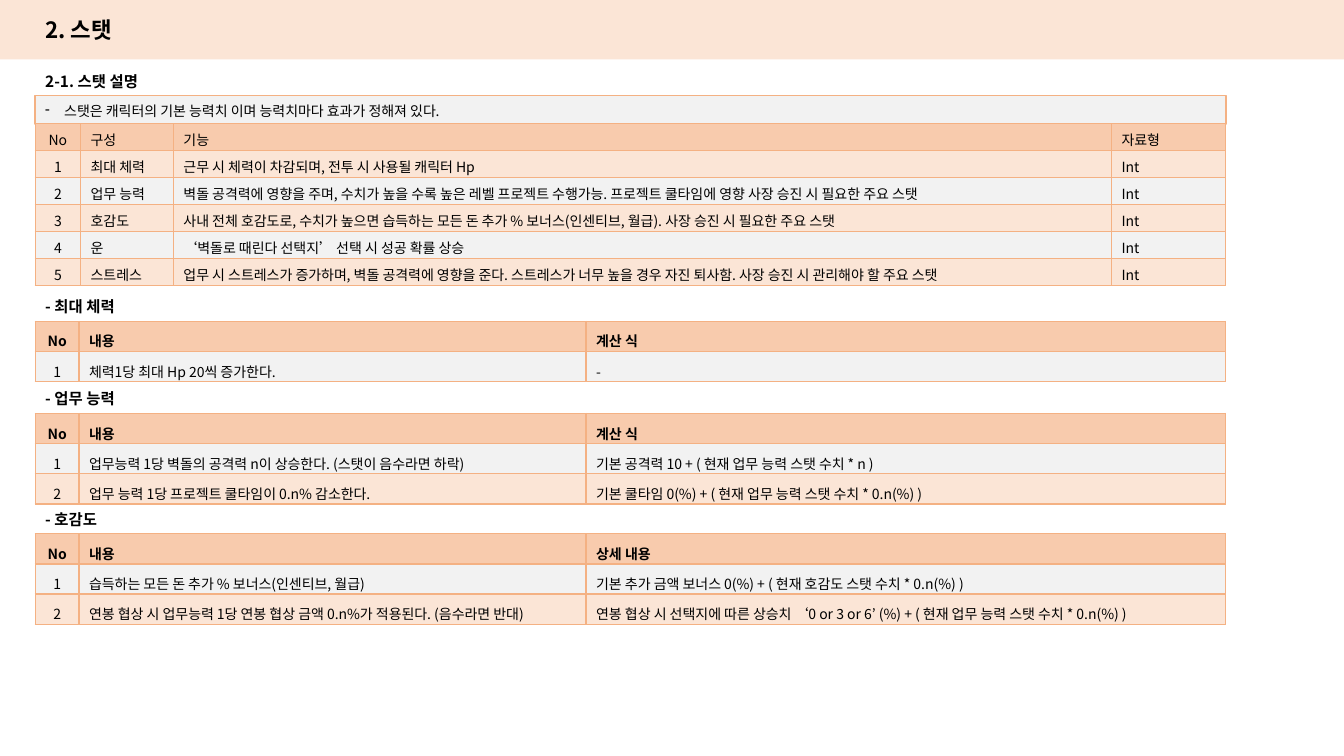
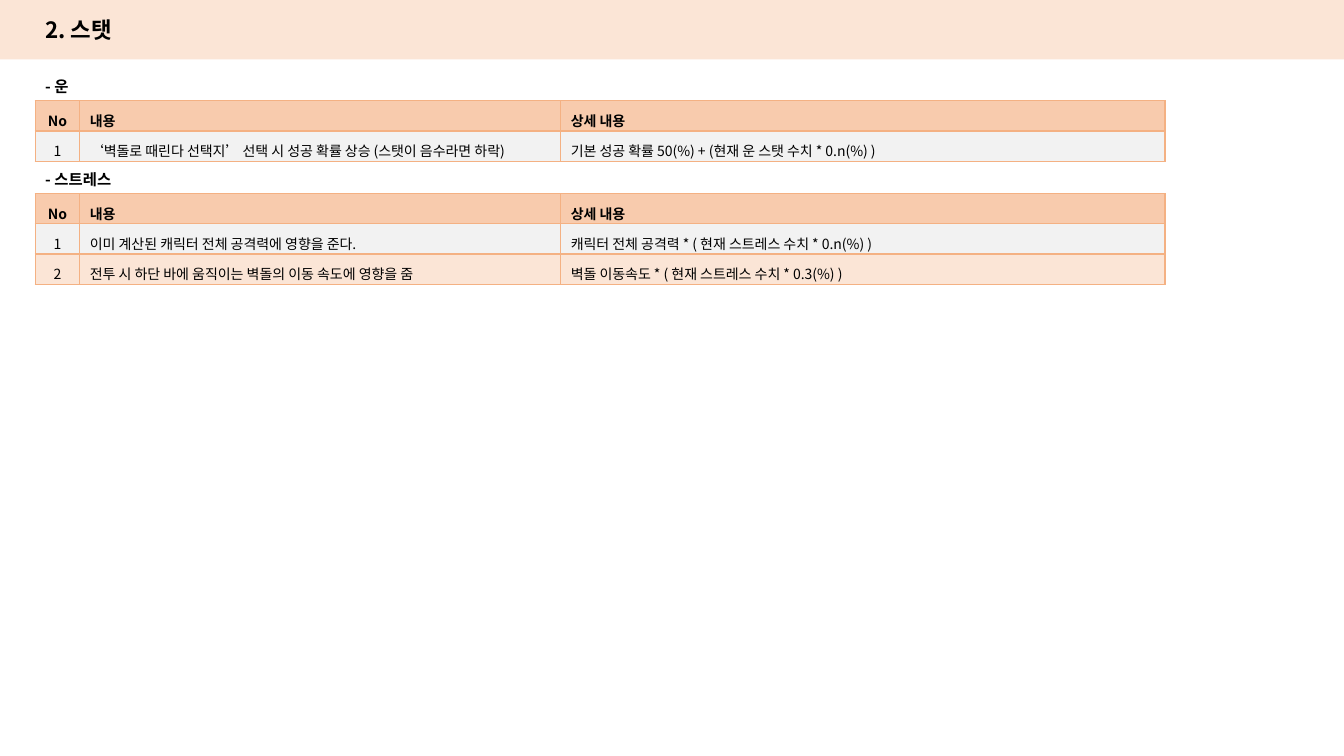
import pptx
import pptx.util
import pptx.dml.color
import pptx.enum.shapes
import pptx.enum.text
import pptx.oxml
import pptx.oxml.ns
import dataclasses

Cm = pptx.util.Cm
Pt = pptx.util.Pt
ALIGN = pptx.enum.text.PP_ALIGN
MID = pptx.enum.text.MSO_ANCHOR.MIDDLE


@dataclasses.dataclass(frozen=True)
class Theme:
    """Colours, font, type sizes and shared measures (cm)."""
    font: str = "Noto Sans CJK KR"
    ink: str = "000000"
    band: str = "FBE5D6"
    head: str = "F8CBAD"
    grey: str = "F2F2F2"
    edge: str = "F4B183"
    title: int = 16
    label: int = 11
    body: int = 10
    left: float = 0.89
    lead: float = 0.74


T = Theme()


def color(code):
    """Turn a hex code into a colour."""
    return pptx.dml.color.RGBColor.from_string(code)


def paint(item, code):
    """Fill a shape or cell with one colour."""
    item.fill.solid()
    item.fill.fore_color.rgb = color(code)


def place(shape, left, top, width, height):
    """Set the box of a shape, in cm."""
    shape.left, shape.top = Cm(left), Cm(top)
    shape.width, shape.height = Cm(width), Cm(height)


def write(frame, text, size, bold=False, align=ALIGN.LEFT, space=1.0):
    """Write one run in the first paragraph and return the paragraph."""
    para = frame.paragraphs[0]
    para.alignment = align
    para.line_spacing = space
    run = para.add_run()
    run.text = text
    font = run.font
    font.size, font.bold, font.name = Pt(size), bold, T.font
    font.color.rgb = color(T.ink)
    east = pptx.oxml.parse_xml(
        f'<a:ea {pptx.oxml.ns.nsdecls("a")} typeface="{T.font}"/>')
    run.font._element.append(east)
    return para


def rect(slide, left, top, width, height, fill):
    """Draw a plain filled box."""
    shape = slide.shapes.add_shape(
        pptx.enum.shapes.MSO_SHAPE.RECTANGLE,
        Cm(left), Cm(top), Cm(width), Cm(height))
    shape.shadow.inherit = False
    paint(shape, fill)
    shape.line.fill.background()
    return shape


def page(deck, text):
    """Add a slide with the top band and its title."""
    slide = deck.slides.add_slide(deck.slide_layouts[5])
    band = rect(slide, 0, 0, deck.slide_width.cm, 1.5, T.band)
    slide.shapes.element.insert(2, band._element)
    title = slide.shapes.title
    place(title, T.left, 0.28, 5.36, 0.94)
    frame = title.text_frame
    frame.auto_size = pptx.enum.text.MSO_AUTO_SIZE.NONE
    frame.vertical_anchor = MID
    write(frame, text, T.title, True)
    return slide


def label(slide, text, base):
    """Set a bold heading that ends at the given base."""
    box = slide.shapes.add_textbox(
        Cm(T.left), Cm(base - T.lead), Cm(5.36), Cm(T.lead))
    frame = box.text_frame
    frame.word_wrap = True
    frame.vertical_anchor = MID
    write(frame, text, T.label, True)


def note(slide, text, top, width, height):
    """Draw the framed note with a dash bullet."""
    box = rect(slide, T.left, top, width, height, T.grey)
    box.line.color.rgb = color(T.edge)
    box.line.width = Pt(1.25)
    frame = box.text_frame
    frame.word_wrap = True
    frame.vertical_anchor = pptx.enum.text.MSO_ANCHOR.TOP
    frame.margin_top, frame.margin_bottom = Cm(0.1), 0
    para = write(frame, text, T.body, space=1.2)
    props = para._p.get_or_add_pPr()
    props.set("marL", str(Cm(0.48)))
    props.set("indent", str(-Cm(0.48)))
    props.append(pptx.oxml.parse_xml(
        f'<a:buChar {pptx.oxml.ns.nsdecls("a")} char="-"/>'))


def frame_cell(cell):
    """Put a thin border on all four sides of a cell."""
    props = cell._tc.get_or_add_tcPr()
    for spot, side in enumerate("LRTB"):
        props.insert(spot, pptx.oxml.parse_xml(
            f'<a:ln{side} {pptx.oxml.ns.nsdecls("a")} w="{Pt(1)}">'
            f'<a:solidFill><a:srgbClr val="{T.edge}"/></a:solidFill>'
            f'</a:ln{side}>'))


def grid(slide, top, cols, rows, high=0.76, bold=True, space=1.2,
         fills=(T.grey, T.band)):
    """Build a table with a header row, then rows in turning colours."""
    table = slide.shapes.add_table(
        len(rows), len(cols), Cm(T.left), Cm(top),
        Cm(sum(cols)), Cm(high * len(rows))).table
    table.horz_banding = False
    for col, width in zip(table.columns, cols):
        col.width = Cm(width)
    for r, row in enumerate(rows):
        table.rows[r].height = Cm(high)
        for c, text in enumerate(row):
            cell = table.cell(r, c)
            paint(cell, fills[(r - 1) % 2] if r else T.head)
            frame_cell(cell)
            cell.vertical_anchor = MID
            cell.margin_top, cell.margin_bottom = Cm(0.12), 0
            write(cell.text_frame, text, T.body, bold and r == 0,
                  ALIGN.LEFT if c else ALIGN.CENTER, space)


def part(slide, name, top, cols, last, rows):
    """Set a headed table of numbered effects and formulas."""
    label(slide, "- " + name, top)
    lines = [(str(n), *row) for n, row in enumerate(rows, 1)]
    grid(slide, top, cols, [("No", "내용", last), *lines])


def stats(deck):
    """Slide with the list of stats and the first three in detail."""
    slide = page(deck, "2. 스탯")
    cols = (1.1, 12.78, 16.12)
    label(slide, "2-1. 스탯 설명", 2.41)
    note(slide, "스탯은 캐릭터의 기본 능력치 이며 능력치마다 효과가 정해져 있다.",
         2.41, sum(cols), 0.71)
    kinds = [
        ("최대 체력", "근무 시 체력이 차감되며, 전투 시 사용될 캐릭터 Hp"),
        ("업무 능력", "벽돌 공격력에 영향을 주며, 수치가 높을 수록 높은 레벨 프로젝트 "
         "수행가능. 프로젝트 쿨타임에 영향 사장 승진 시 필요한 주요 스탯"),
        ("호감도", "사내 전체 호감도로, 수치가 높으면 습득하는 모든 돈 추가 % "
         "보너스(인센티브, 월급). 사장 승진 시 필요한 주요 스탯"),
        ("운", "‘벽돌로 때린다 선택지’ 선택 시 성공 확률 상승"),
        ("스트레스", "업무 시 스트레스가 증가하며, 벽돌 공격력에 영향을 준다. "
         "스트레스가 너무 높을 경우 자진 퇴사함. "
         "사장 승진 시 관리해야 할 주요 스탯"),
    ]
    lines = [(str(n), *kind, "Int") for n, kind in enumerate(kinds, 1)]
    grid(slide, 3.12, (1.14, 2.34, 23.64, 2.88),
         [("No", "구성", "기능", "자료형"), *lines],
         high=0.68, bold=False, space=1.0, fills=(T.band, T.grey))
    part(slide, "최대 체력", 8.1, cols, "계산 식",
         [("체력1당 최대 Hp 20씩 증가한다.", "-")])
    part(slide, "업무 능력", 10.42, cols, "계산 식", [
        ("업무능력 1당 벽돌의 공격력 n이 상승한다. (스탯이 음수라면 하락)",
         "기본 공격력 10 + ( 현재 업무 능력 스탯 수치 * n )"),
        ("업무 능력 1당 프로젝트 쿨타임이 0.n% 감소한다.",
         "기본 쿨타임 0(%) + ( 현재 업무 능력 스탯 수치 * 0.n(%) )")])
    part(slide, "호감도", 13.45, cols, "상세 내용", [
        ("습득하는 모든 돈 추가 % 보너스(인센티브, 월급)",
         "기본 추가 금액 보너스 0(%) + ( 현재 호감도 스탯 수치 * 0.n(%) )"),
        ("연봉 협상 시 업무능력 1당 연봉 협상 금액 0.n%가 적용된다. "
         "(음수라면 반대)",
         "연봉 협상 시 선택지에 따른 상승치 ‘0 or 3 or 6’ (%) + "
         "( 현재 업무 능력 스탯 수치 * 0.n(%) )")])


def more(deck):
    """Slide with luck and stress in detail."""
    slide = page(deck, "2. 스탯")
    cols = (1.12, 12.12, 15.23)
    part(slide, "운", 2.54, cols, "상세 내용", [
        ("‘벽돌로 때린다 선택지’ 선택 시 성공 확률 상승 (스탯이 음수라면 하락)",
         "기본 성공 확률 50(%) + (현재 운 스탯 수치 * 0.n(%) )")])
    part(slide, "스트레스", 4.88, cols, "상세 내용", [
        ("이미 계산된 캐릭터 전체 공격력에 영향을 준다.",
         "캐릭터 전체 공격력 * ( 현재 스트레스 수치 * 0.n(%) )"),
        ("전투 시 하단 바에 움직이는 벽돌의 이동 속도에 영향을 줌",
         "벽돌 이동속도 * ( 현재 스트레스 수치 * 0.3(%) )")])


deck = pptx.Presentation()
deck.slide_width, deck.slide_height = Cm(33.87), Cm(19.05)
stats(deck)
more(deck)
deck.save("out.pptx")
